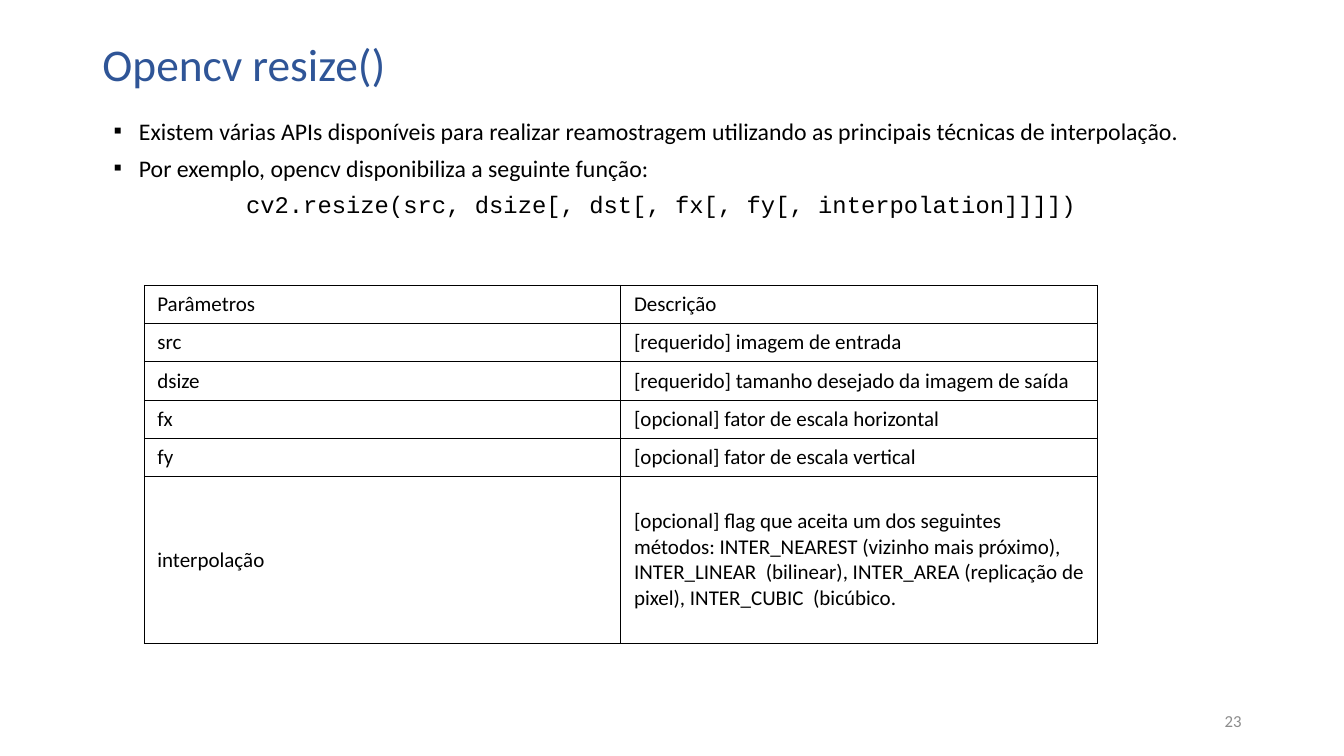
import dataclasses

import pptx
import pptx.dml.color
import pptx.enum.text
import pptx.oxml
import pptx.oxml.ns
import pptx.util

Pt = pptx.util.Pt
ALIGN = pptx.enum.text.PP_ALIGN
MIDDLE = pptx.enum.text.MSO_ANCHOR.MIDDLE
NS = pptx.oxml.ns.nsdecls("a")


@dataclasses.dataclass(frozen=True)
class Theme:
    font: str = "Calibri"
    code_font: str = "Courier New"
    title: str = "2F5597"
    text: str = "000000"
    muted: str = "8C8C8C"
    border: str = "000000"
    title_size: float = 32.4
    body_size: float = 17
    cell_size: float = 15
    number_size: float = 12


THEME = Theme()

BULLETS = (
    "Existem várias APIs disponíveis para realizar reamostragem utilizando as principais técnicas de interpolação.",
    "Por exemplo, opencv disponibiliza a seguinte função:",
)
CODE = "cv2.resize(src, dsize[, dst[, fx[, fy[, interpolation]]]])"
PARAMETERS = (
    ("Parâmetros", "Descrição"),
    ("src", "[requerido] imagem de entrada"),
    ("dsize", "[requerido] tamanho desejado da imagem de saída"),
    ("fx", "[opcional] fator de escala horizontal"),
    ("fy", "[opcional] fator de escala vertical"),
    ("interpolação",
     "[opcional] flag que aceita um dos seguintes métodos: INTER_NEAREST (vizinho mais próximo), "
     "INTER_LINEAR  (bilinear), INTER_AREA (replicação de pixel), INTER_CUBIC  (bicúbico."),
)


def write(p, text, size, color=THEME.text, font=THEME.font, align=ALIGN.LEFT,
          line_spacing=None, space_before=0):
    """Format the paragraph and add the text to it as one run."""
    p.alignment = align
    p.space_before = Pt(space_before)
    if line_spacing:
        p.line_spacing = line_spacing
    r = p.add_run()
    r.text = text
    r.font.name = font
    r.font.size = Pt(size)
    r.font.color.rgb = pptx.dml.color.RGBColor.from_string(color)


def set_bullet(p, char=None, margin=0, hanging=0):
    pPr = p._p.get_or_add_pPr()
    pPr.set("marL", str(Pt(margin)))
    pPr.set("indent", str(Pt(-hanging)))
    if char:
        pPr.append(pptx.oxml.parse_xml(f'<a:buFont {NS} typeface="Arial"/>'))
        pPr.append(pptx.oxml.parse_xml(f'<a:buChar {NS} char="{char}"/>'))
    else:
        pPr.append(pptx.oxml.parse_xml(f"<a:buNone {NS}/>"))


def place(sp, box):
    """Move a shape to the box and return its wrapping text frame."""
    sp.left, sp.top, sp.width, sp.height = map(Pt, box)
    tf = sp.text_frame
    tf.word_wrap = True
    tf.auto_size = pptx.enum.text.MSO_AUTO_SIZE.NONE
    return tf


def add_title(s, box, text):
    tf = place(s.shapes.title, box)
    tf.vertical_anchor = MIDDLE
    write(tf.paragraphs[0], text, THEME.title_size, THEME.title, line_spacing=0.9)


def add_body(s, box, bullets, code):
    tf = place(s.placeholders[1], box)
    spacing = dict(line_spacing=0.8, space_before=10)
    p = tf.paragraphs[0]
    for text in bullets:
        write(p, text, THEME.body_size, **spacing)
        set_bullet(p, "▪", margin=18, hanging=18)
        p = tf.add_paragraph()
    write(p, code, THEME.body_size, font=THEME.code_font, align=ALIGN.CENTER, **spacing)
    set_bullet(p, margin=8)


def style_cell(cell):
    cell.vertical_anchor = MIDDLE
    cell.margin_left = cell.margin_right = Pt(9.4)
    cell.margin_top = cell.margin_bottom = Pt(4.5)
    tcPr = cell._tc.get_or_add_tcPr()
    for side in "LRTB":
        tcPr.append(pptx.oxml.parse_xml(
            f'<a:ln{side} {NS} w="{Pt(0.75)}"><a:solidFill><a:srgbClr val="{THEME.border}"/>'
            f"</a:solidFill></a:ln{side}>"))
    cell.fill.background()


def add_parameter_table(s, box, rows, row_height=27.3):
    """Draw equal columns; the last row takes the height left over."""
    columns = len(rows[0])
    table = s.shapes.add_table(len(rows), columns, *map(Pt, box)).table
    table.first_row = table.horz_banding = False
    for column in table.columns:
        column.width = Pt(box[2] / columns)
    for row in table.rows:
        row.height = Pt(row_height)
    table.rows[len(rows) - 1].height = Pt(box[3] - row_height * (len(rows) - 1))
    for i, texts in enumerate(rows):
        for j, text in enumerate(texts):
            cell = table.cell(i, j)
            style_cell(cell)
            write(cell.text_frame.paragraphs[0], text, THEME.cell_size)


def add_slide_number(s, box, number):
    tf = place(s.shapes.add_textbox(*map(Pt, box)), box)
    tf.vertical_anchor = MIDDLE
    write(tf.paragraphs[0], number, THEME.number_size, THEME.muted, align=ALIGN.RIGHT)


def main():
    prs = pptx.Presentation()
    prs.slide_width, prs.slide_height = Pt(960), Pt(540)
    s = prs.slides.add_slide(prs.slide_layouts[1])
    add_title(s, (66, 29, 828, 37.5), "Opencv resize()")
    add_body(s, (74, 83.5, 788.5, 88), BULLETS, CODE)
    add_slide_number(s, (678, 500.5, 216, 28.75), "23")
    add_parameter_table(s, (103, 203.75, 681, 255.3), PARAMETERS)
    prs.save("out.pptx")


if __name__ == "__main__":
    main()
